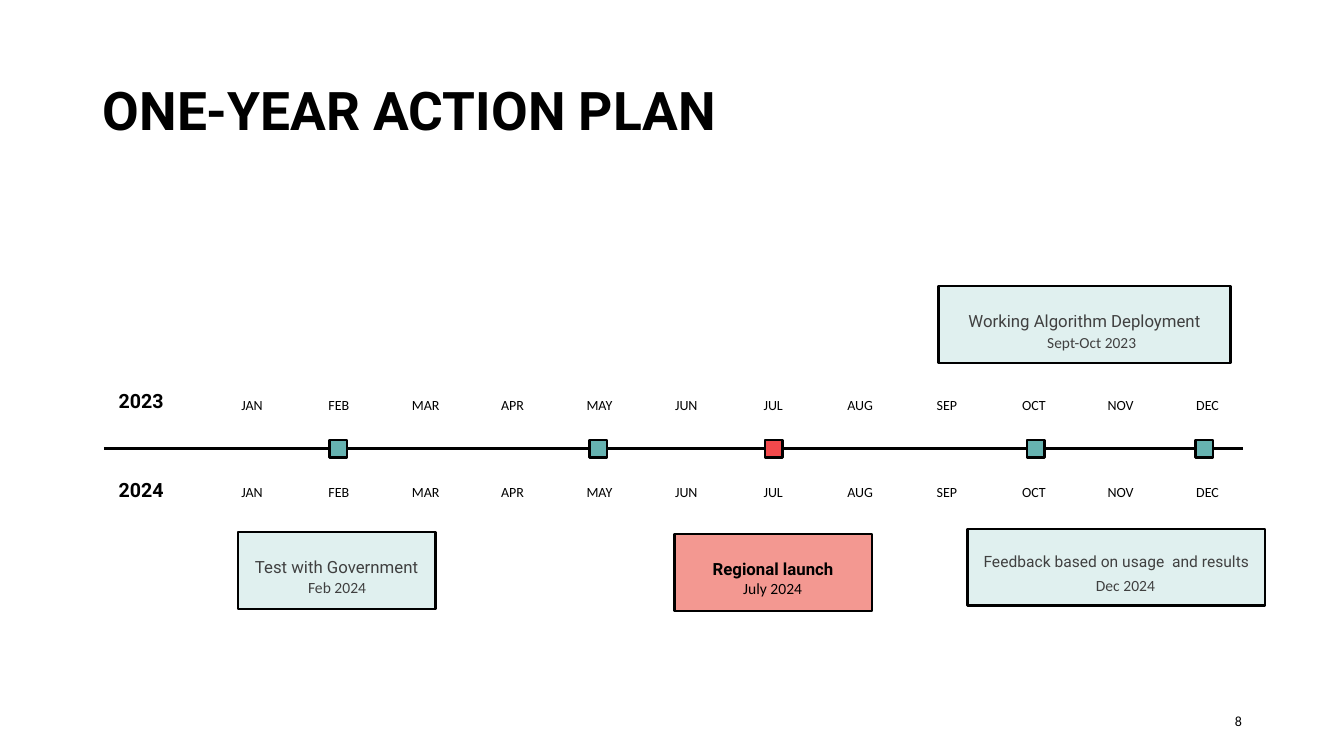
from dataclasses import dataclass

import pptx
import pptx.dml.color
import pptx.enum.shapes
import pptx.enum.text
import pptx.oxml
import pptx.oxml.ns
import pptx.util

Pt = pptx.util.Pt
RGBColor = pptx.dml.color.RGBColor
Align = pptx.enum.text.PP_ALIGN
Anchor = pptx.enum.text.MSO_ANCHOR

BLACK = RGBColor(0x00, 0x00, 0x00)
GREY = RGBColor(0x40, 0x40, 0x40)
TEAL = RGBColor(0x66, 0xB2, 0xB0)
PALE_TEAL = RGBColor(0xE0, 0xF0, 0xEF)
RED = RGBColor(0xF2, 0x49, 0x4C)
PALE_RED = RGBColor(0xF3, 0x98, 0x91)

MONTHS = ["JAN", "FEB", "MAR", "APR", "MAY", "JUN",
          "JUL", "AUG", "SEP", "OCT", "NOV", "DEC"]
MONTH_LEFT, MONTH_PITCH = 154.8, 62.05
TIMELINE_TOP = 320.4
MARKER_SIZE = 12.5
CALLOUT_HEIGHT = 54.7


@dataclass(frozen=True)
class TextStyle:
    size: float
    font: str = "Calibri"
    color: RGBColor = BLACK
    bold: bool = False
    align: Align = Align.CENTER
    spacing: float = 0.9
    anchor: Anchor = Anchor.TOP


@dataclass(frozen=True)
class YearRow:
    year: str
    year_top: float
    months_top: float


@dataclass(frozen=True)
class Marker:
    center: float
    color: RGBColor = TEAL


@dataclass(frozen=True)
class Callout:
    label: str
    date: str
    left: float
    top: float
    width: float
    date_left: float
    date_top: float
    label_size: float = 12
    date_size: float = 11.1
    date_spacing: float = 0.7
    fill: RGBColor = PALE_TEAL
    color: RGBColor = GREY
    bold: bool = False


TITLE = TextStyle(38, "Roboto", bold=True, align=Align.LEFT, anchor=Anchor.MIDDLE)
YEAR = TextStyle(14, "Roboto", bold=True, anchor=Anchor.MIDDLE)
MONTH = TextStyle(10)
PAGE_NUMBER = TextStyle(10, align=Align.RIGHT, spacing=1.0, anchor=Anchor.MIDDLE)

YEAR_ROWS = [YearRow("2023", 269.3, 280.8), YearRow("2024", 332.6, 343.4)]
MARKERS = [Marker(241.6), Marker(427.3), Marker(552.6, RED),
           Marker(739.8), Marker(860.2)]
CALLOUTS = [
    Callout("Working Algorithm Deployment", "Sept-Oct 2023", 670.3, 204.5, 208.8,
            713.2, 236.2, date_size=11, date_spacing=0.9),
    Callout("Test with Government", "Feb 2024", 169.9, 380.2, 141.1, 174.2, 412.6),
    Callout("Regional launch", "July 2024", 481.7, 381.6, 141.1, 485.3, 414,
            fill=PALE_RED, color=BLACK, bold=True),
    Callout("Feedback based on usage  and results", "Dec 2024", 691.2, 378, 212.4,
            737.3, 411.8, label_size=11.1),
]


def write(shape, text: str, style: TextStyle) -> None:
    frame = shape.text_frame
    frame.word_wrap = True
    frame.auto_size = pptx.enum.text.MSO_AUTO_SIZE.NONE
    frame.vertical_anchor = style.anchor
    paragraph = frame.paragraphs[0]
    paragraph.text = text
    paragraph.alignment = style.align
    paragraph.line_spacing = style.spacing
    paragraph.font.name = style.font
    paragraph.font.size = Pt(style.size)
    paragraph.font.bold = style.bold
    paragraph.font.color.rgb = style.color


def add_text(slide, text: str, left: float, top: float, width: float,
             height: float, style: TextStyle) -> None:
    box = slide.shapes.add_textbox(Pt(left), Pt(top), Pt(width), Pt(height))
    write(box, text, style)


def add_rectangle(slide, left: float, top: float, width: float, height: float,
                  fill: RGBColor):
    shape = slide.shapes.add_shape(
        pptx.enum.shapes.MSO_SHAPE.RECTANGLE, Pt(left), Pt(top), Pt(width), Pt(height))
    shape.shadow.inherit = False
    shape.fill.solid()
    shape.fill.fore_color.rgb = fill
    shape.line.color.rgb = BLACK
    shape.line.width = Pt(1.75)
    return shape


def add_timeline(slide) -> None:
    line = slide.shapes.add_connector(
        pptx.enum.shapes.MSO_CONNECTOR.STRAIGHT,
        Pt(74.2), Pt(TIMELINE_TOP), Pt(887.8), Pt(TIMELINE_TOP))
    line.line.color.rgb = BLACK
    line.line.width = Pt(2)
    properties = line._element.spPr
    properties.append(pptx.oxml.parse_xml(
        f'<a:effectLst {pptx.oxml.ns.nsdecls("a")}/>'))


def add_year_row(slide, row: YearRow) -> None:
    add_text(slide, row.year, 72, row.year_top, 57.6, 36, YEAR)
    for index, month in enumerate(MONTHS):
        add_text(slide, month, MONTH_LEFT + index * MONTH_PITCH, row.months_top,
                 50.4, 21.6, MONTH)


def add_marker(slide, marker: Marker) -> None:
    add_rectangle(slide, marker.center - MARKER_SIZE / 2,
                  TIMELINE_TOP - MARKER_SIZE / 2, MARKER_SIZE, MARKER_SIZE,
                  marker.color)


def add_callout(slide, callout: Callout) -> None:
    shape = add_rectangle(slide, callout.left, callout.top, callout.width,
                          CALLOUT_HEIGHT, callout.fill)
    shape.text_frame.margin_top = Pt(2.9)
    write(shape, callout.label,
          TextStyle(callout.label_size, "Roboto", callout.color, callout.bold, spacing=2.0))
    add_text(slide, callout.date, callout.date_left, callout.date_top, 133.2, 18,
             TextStyle(callout.date_size, color=callout.color,
                       spacing=callout.date_spacing))


def main() -> None:
    presentation = pptx.Presentation()
    presentation.slide_width = Pt(960)
    presentation.slide_height = Pt(540)
    slide = presentation.slides.add_slide(presentation.slide_layouts[5])

    title = slide.shapes.title
    title.left, title.top = Pt(66.2), Pt(28.8)
    title.width, title.height = Pt(828), Pt(104.4)
    write(title, "ONE-YEAR ACTION PLAN", TITLE)

    add_timeline(slide)
    for row in YEAR_ROWS:
        add_year_row(slide, row)
    for marker in MARKERS:
        add_marker(slide, marker)
    for callout in CALLOUTS:
        add_callout(slide, callout)
    add_text(slide, "8", 678.2, 500.4, 216, 28.8, PAGE_NUMBER)

    presentation.save("out.pptx")


if __name__ == "__main__":
    main()
